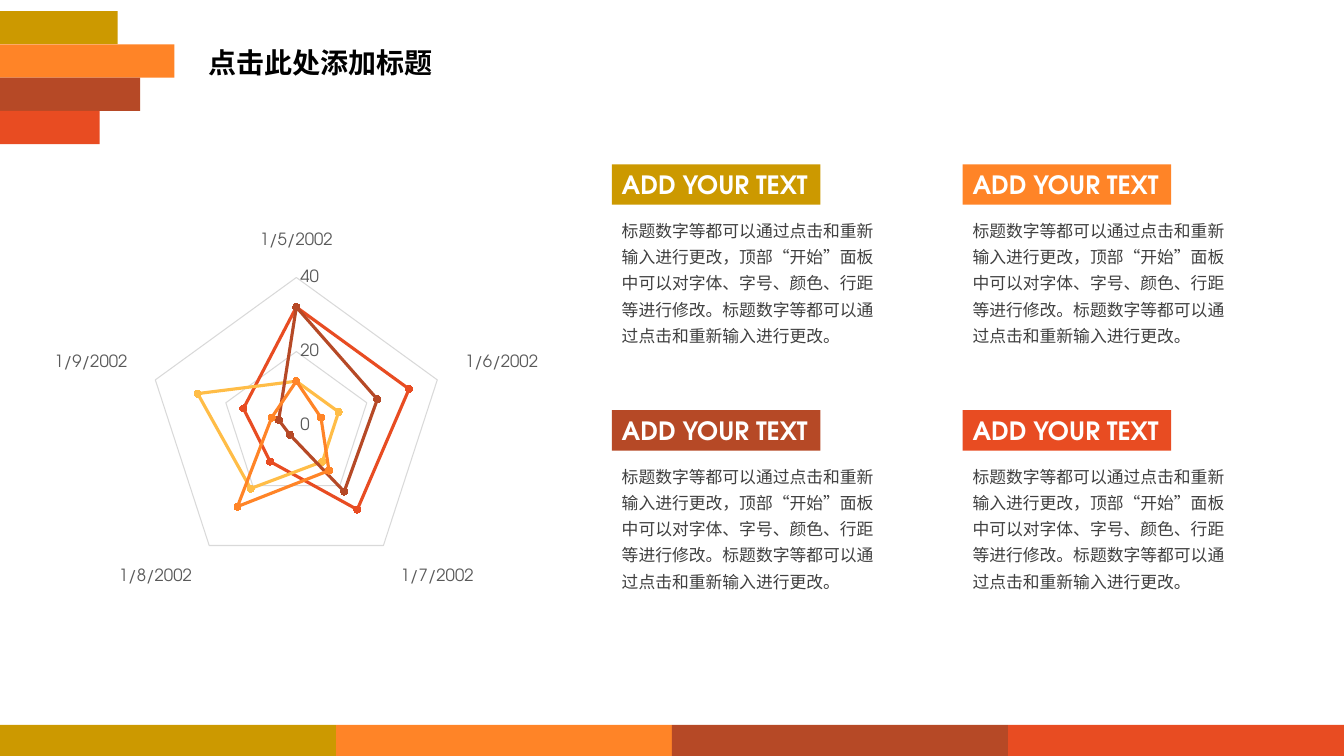
from lxml import etree
from pptx import Presentation
from pptx.chart.data import CategoryChartData
from pptx.dml.color import RGBColor
from pptx.enum.chart import XL_CHART_TYPE, XL_MARKER_STYLE, XL_TICK_MARK
from pptx.enum.shapes import MSO_SHAPE
from pptx.enum.text import MSO_ANCHOR, MSO_AUTO_SIZE, PP_ALIGN
from pptx.oxml.ns import qn
from pptx.util import Inches, Pt

RECTANGLE = MSO_SHAPE.RECTANGLE
RADAR = XL_CHART_TYPE.RADAR_MARKERS
CIRCLE = XL_MARKER_STYLE.CIRCLE
NO_TICK = XL_TICK_MARK.NONE
TOP, MIDDLE = MSO_ANCHOR.TOP, MSO_ANCHOR.MIDDLE
FIT_SHAPE, FIT_NONE = MSO_AUTO_SIZE.SHAPE_TO_FIT_TEXT, MSO_AUTO_SIZE.NONE
LEFT = PP_ALIGN.LEFT

COLUMNS, ROWS = 40, 22.5
GOLD, ORANGE, BROWN, RED, YELLOW = "CC9900", "FF8427", "B64926", "E84C22", "FFBD47"
PALETTE = [GOLD, ORANGE, BROWN, RED]
BAND_WIDTHS = [3.5, 5.19, 4.17, 2.97]
CARD_TEXT = (
    "标题数字等都可以通过点击和重新输入进行更改，顶部“开始”面板中可以对字体、字号、"
    "颜色、行距等进行修改。标题数字等都可以通过点击和重新输入进行更改。"
)
DATES = ["1/5/2002", "1/6/2002", "1/7/2002", "1/8/2002", "1/9/2002"]
SERIES = [
    ("Series 1", [32, 32, 28, 12, 15], RED),
    ("Series 2", [12, 12, 12, 21, 28], YELLOW),
    ("Series 3", [32, 23, 22, 3, 5], BROWN),
    ("Series 4", [12, 7, 15, 27, 7], ORANGE),
]


def color(value):
    return RGBColor.from_string(value)


def apply(target, formats):
    for name, value in formats.items():
        setattr(target, name, value)


class SlideBuilder:
    """Draws styled elements on a slide by grid columns and rows."""

    latin = "TeX Gyre Adventor"
    chinese = "Noto Sans CJK SC"

    def __init__(self, presentation):
        self.column = presentation.slide_width / COLUMNS
        self.row = presentation.slide_height / ROWS
        self.slide = presentation.slides.add_slide(presentation.slide_layouts[6])

    def place(self, left, top, width, height):
        return (round(left * self.column), round(top * self.row),
                round(width * self.column), round(height * self.row))

    def bar(self, box, fill):
        shape = self.slide.shapes.add_shape(RECTANGLE, *self.place(*box))
        shape.shadow.inherit = False
        shape.fill.solid()
        shape.fill.fore_color.rgb = color(fill)
        shape.line.fill.background()
        return shape

    def style_font(self, font, size, hex_color, name):
        apply(font, {"size": Pt(size), "name": name})
        font.color.rgb = color(hex_color)

    def fill_text(self, shape, text, size, hex_color, name, bold=False, spacing=1.0, **frame):
        apply(shape.text_frame, frame)
        paragraph = shape.text_frame.paragraphs[0]
        apply(paragraph, {"alignment": LEFT, "line_spacing": spacing})
        run = paragraph.add_run()
        run.text = text
        run.font.bold = bold
        self.style_font(run.font, size, hex_color, name)
        east_asian = etree.SubElement(run.font._element, qn("a:ea"))
        east_asian.set("typeface", name)

    def text(self, box, text, **style):
        shape = self.slide.shapes.add_textbox(*self.place(*box))
        self.fill_text(shape, text, name=self.chinese, word_wrap=True, **style)

    def label(self, box, text, fill):
        self.fill_text(self.bar(box, fill), text, 18, "FFFFFF", self.latin, bold=True,
                       word_wrap=False, auto_size=FIT_SHAPE, vertical_anchor=TOP)

    def card(self, left, top, fill):
        self.label((left, top, 6.21, 1.2), "ADD YOUR TEXT", fill)
        self.text((left, top + 1.35, 8.31, 4.23), CARD_TEXT, size=12,
                  hex_color="404040", spacing=1.3, auto_size=FIT_SHAPE)

    def line(self, line_format, hex_color, width):
        line_format.color.rgb = color(hex_color)
        line_format.width = Pt(width)

    def radar(self, box, categories, series_rows):
        data = CategoryChartData()
        data.categories = categories
        for name, values, _ in series_rows:
            data.add_series(name, values)
        chart = self.slide.shapes.add_chart(RADAR, *self.place(*box), data).chart
        apply(chart, {"has_legend": False, "has_title": False})
        self.style_font(chart.font, 10, "000000", self.latin)
        chart.plots[0].vary_by_categories = False
        for axis in (chart.category_axis, chart.value_axis):
            apply(axis, {"major_tick_mark": NO_TICK, "minor_tick_mark": NO_TICK})
            self.style_font(axis.tick_labels.font, 12, "595959", self.latin)
        self.line(chart.category_axis.format.line, "D9D9D9", 0.75)
        apply(chart.value_axis, {"minimum_scale": 0, "maximum_scale": 40,
                                 "major_unit": 20, "has_major_gridlines": True})
        chart.value_axis.format.line.fill.background()
        self.line(chart.value_axis.major_gridlines.format.line, "D9D9D9", 0.75)
        for series, (_, _, hex_color) in zip(chart.plots[0].series, series_rows):
            series.smooth = False
            self.line(series.format.line, hex_color, 2.25)
            apply(series.marker, {"style": CIRCLE, "size": 5})
            marker = series.marker.format
            marker.fill.solid()
            marker.fill.fore_color.rgb = color(hex_color)
            self.line(marker.line, hex_color, 0.75)


def main():
    presentation = Presentation()
    apply(presentation, {"slide_width": Inches(13.33), "slide_height": Inches(7.5)})
    builder = SlideBuilder(presentation)
    footer_width = COLUMNS / len(PALETTE)
    for index, (fill, width) in enumerate(zip(PALETTE, BAND_WIDTHS)):
        builder.bar((0, 0.33 + index * 0.99, width, 0.99), fill)
        builder.bar((index * footer_width, 21.57, footer_width, 0.93), fill)
    builder.text((5.91, 1.05, 14.64, 1.74), "点击此处添加标题", size=20,
                 hex_color="000000", bold=True, spacing=0.9,
                 auto_size=FIT_NONE, vertical_anchor=MIDDLE)
    builder.radar((1.32, 5.37, 15, 13.59), DATES, SERIES)
    for index, fill in enumerate(PALETTE):
        card_row, card_column = divmod(index, 2)
        builder.card(18.21 + card_column * 10.44, 4.89 + card_row * 7.32, fill)
    presentation.save("out.pptx")


if __name__ == "__main__":
    main()
